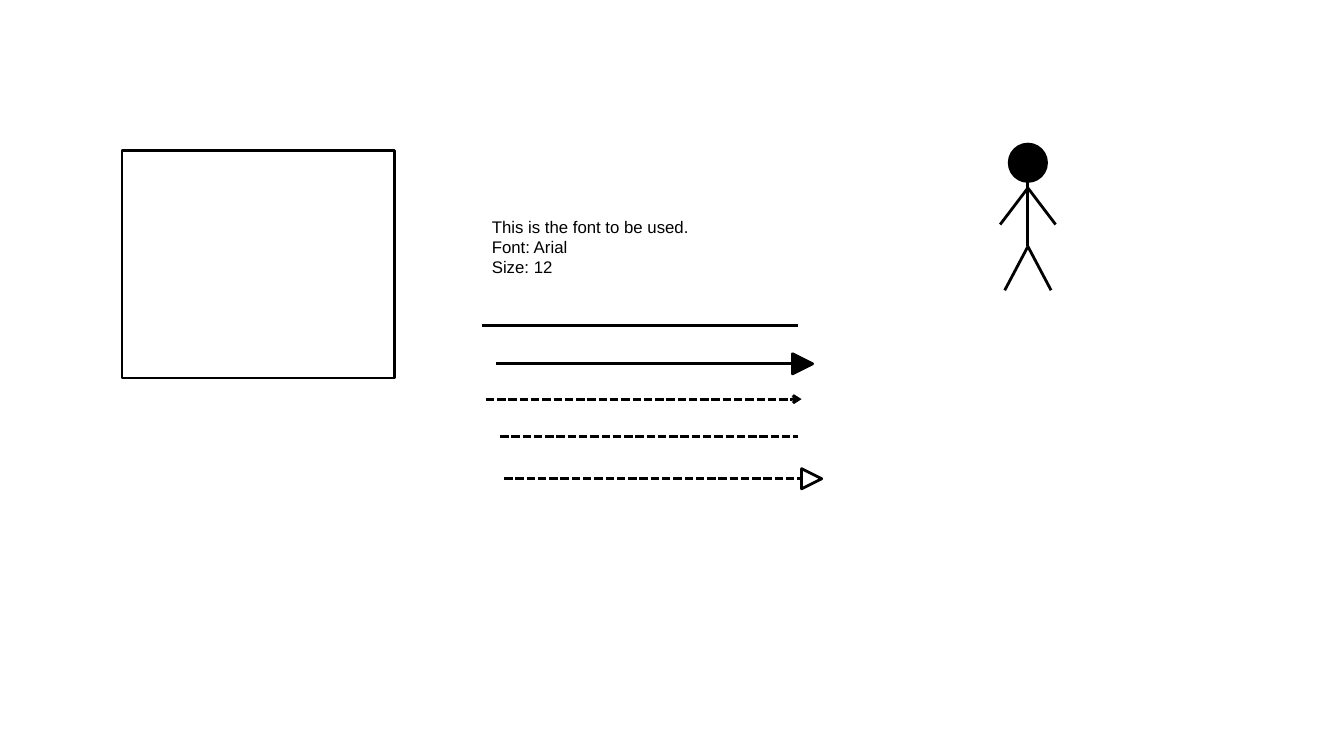
from lxml import etree
from pptx import Presentation, util as u
from pptx.dml.color import RGBColor
from pptx.enum import dml, shapes, text
from pptx.oxml.ns import qn

COLORS = {"ink": "000000"}
INK = RGBColor.from_string(COLORS["ink"])
FONT = "Arial"
STROKE = u.Pt(2)


def add_outlined(parent, preset, left, top, width, height, filled=False):
    """Add a preset shape with the common outline, empty or inked."""
    outlined = parent.add_shape(preset, *map(u.Inches, (left, top, width, height)))
    outlined.shadow.inherit = False
    if filled:
        outlined.fill.solid()
        outlined.fill.fore_color.rgb = INK
    else:
        outlined.fill.background()
    outlined.line.color.rgb = INK
    outlined.line.width = STROKE
    return outlined


def add_stroke(parent, start, end, dashed=False, arrow=False):
    """Add a straight line, optionally dashed or with an open arrowhead."""
    stroke = parent.add_connector(shapes.MSO_CONNECTOR.STRAIGHT,
                                  *map(u.Inches, (*start, *end)))
    stroke.line.color.rgb = INK
    stroke.line.width = STROKE
    if dashed:
        stroke.line.dash_style = dml.MSO_LINE.SQUARE_DOT
    if arrow:
        etree.SubElement(stroke.line._get_or_add_ln(), qn("a:tailEnd"), type="arrow")
    etree.SubElement(stroke._element.spPr, qn("a:effectLst"))


def add_font_note(parent, left, top, width, height):
    """Add the note that states the font to use."""
    note = parent.add_textbox(*map(u.Inches, (left, top, width, height))).text_frame
    note.word_wrap = True
    note.auto_size = text.MSO_AUTO_SIZE.SHAPE_TO_FIT_TEXT
    note.text = "This is the font to be used.\nFont: Arial\nSize: 12"
    for paragraph in note.paragraphs:
        paragraph.font.name = FONT
        paragraph.font.size = u.Pt(12)
        paragraph.font.color.rgb = INK


def add_line_samples(parent, left, top):
    """Add the line styles; each row is start, end, drop, dashed, arrow, head."""
    head = 0.2
    samples = [
        (0, 3.13, 0, False, False, None),
        (0.14, 3.08, 0.38, False, False, "filled"),
        (0.04, 3.17, 0.73, True, True, None),
        (0.18, 3.13, 1.1, True, False, None),
        (0.22, 3.17, 1.52, True, False, "hollow"),
    ]
    for start, end, drop, dashed, arrow, tip in samples:
        y = top + drop
        add_stroke(parent, (left + start, y), (left + end, y), dashed, arrow)
        if tip:
            triangle = add_outlined(parent, shapes.MSO_SHAPE.ISOSCELES_TRIANGLE,
                                    left + end, y - head / 2, head, head,
                                    tip == "filled")
            triangle.rotation = 90


def add_stick_figure(parent, left, top, width, height):
    """Add a grouped stick figure filling the given box."""
    figure = parent.add_group_shape().shapes
    middle, head = left + width / 2, 0.37
    shoulder, hand, hip = (top + height * share for share in (0.3, 0.55, 0.7))
    add_outlined(figure, shapes.MSO_SHAPE.OVAL, middle - head / 2, top,
                 head, head, filled=True)
    add_stroke(figure, (middle, top + 0.31), (middle, hip))
    for joint, reach, tip in ((hip, 0.23, top + height), (shoulder, width / 2, hand)):
        for side in (1, -1):
            add_stroke(figure, (middle, joint), (middle + side * reach, tip))


def main():
    """Build the slide of drawing conventions."""
    deck = Presentation()
    deck.slide_width, deck.slide_height = u.Inches(13.33), u.Inches(7.5)
    parts = deck.slides.add_slide(deck.slide_layouts[6]).shapes
    add_outlined(parts, shapes.MSO_SHAPE.RECTANGLE, 1.21, 1.49, 2.7, 2.26)
    add_font_note(parts, 4.78, 2.1, 2.8, 0.71)
    add_line_samples(parts, 4.78, 3.23)
    add_stick_figure(parts, 9.92, 1.43, 0.55, 1.45)
    deck.save("out.pptx")


if __name__ == "__main__":
    main()
